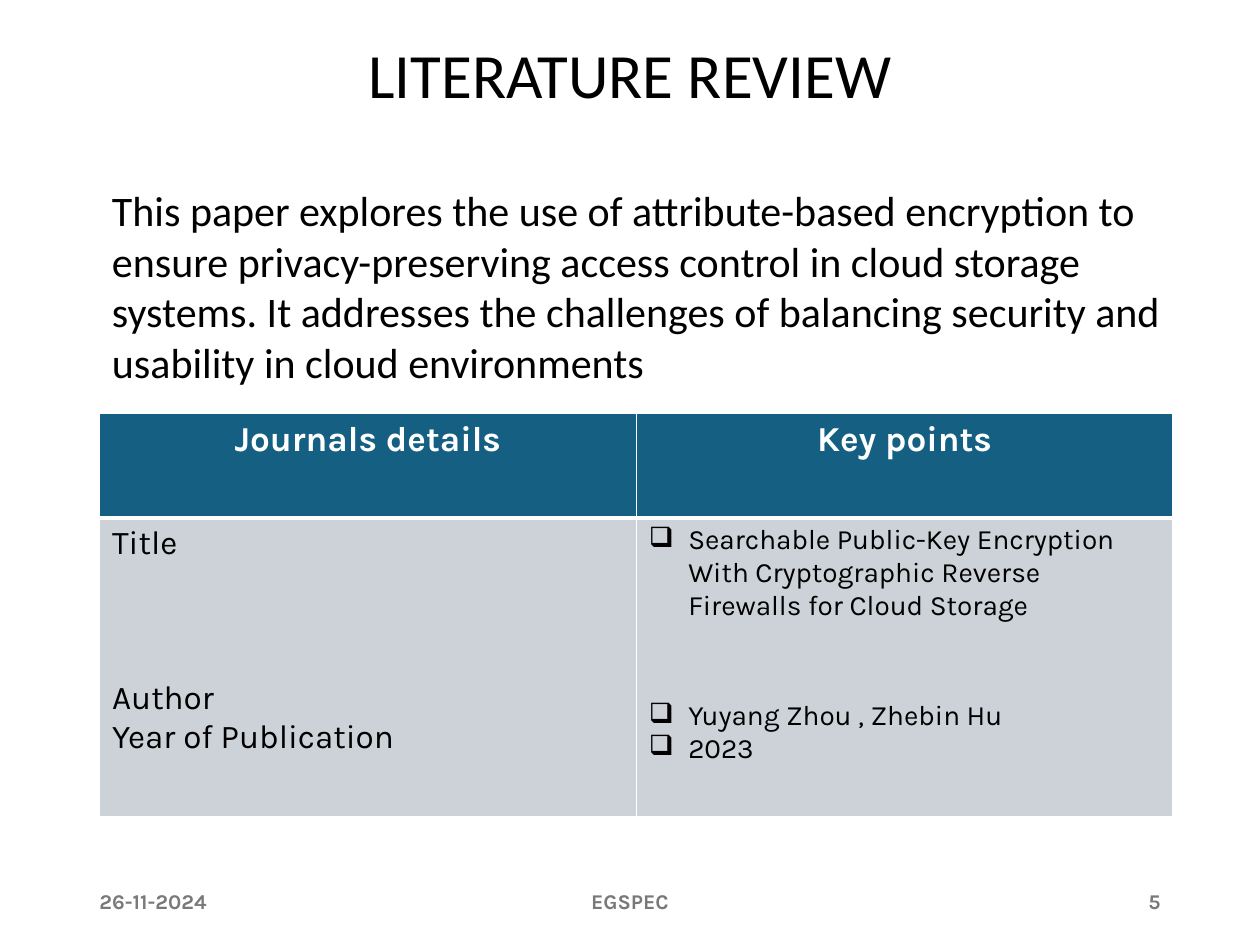
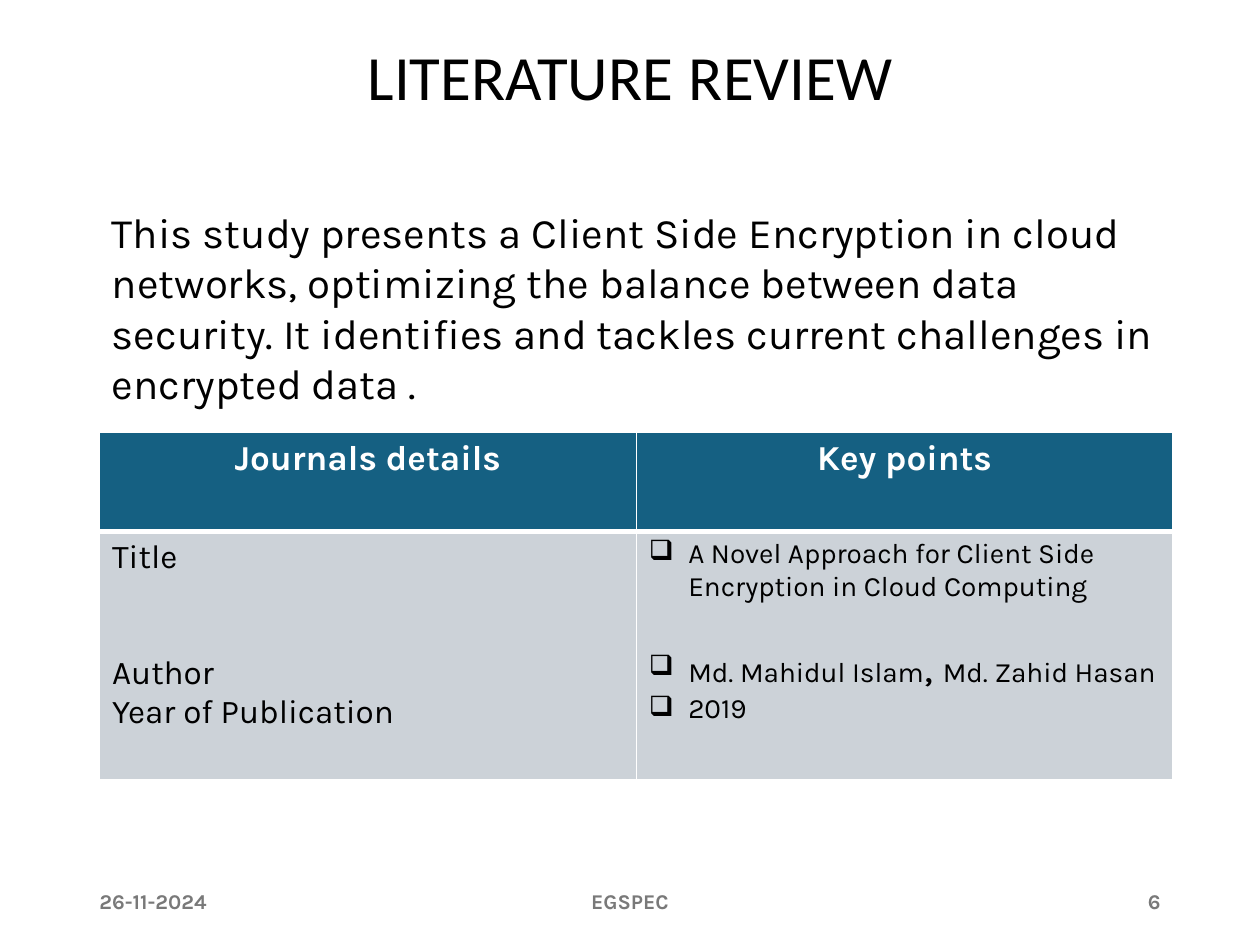
"""Build two literature review slides, each with a summary and a table of journal details."""
from lxml import etree
from pptx import Presentation
from pptx.dml.color import RGBColor
from pptx.enum import text as t
from pptx.oxml import ns
from pptx.util import Pt

BLACK = RGBColor(0x00, 0x00, 0x00)
WHITE = RGBColor(0xFF, 0xFF, 0xFF)
GREY = RGBColor(0x79, 0x79, 0x79)
TEAL = RGBColor(0x15, 0x60, 0x82)
PALE = RGBColor(0xCC, 0xD2, 0xD8)
LEFT, CENTER, RIGHT = t.PP_ALIGN.LEFT, t.PP_ALIGN.CENTER, t.PP_ALIGN.RIGHT
MIDDLE = t.MSO_ANCHOR.MIDDLE
FOOTER_TOP, FOOTER_HEIGHT = 500.4, 28.8
CONTENT_LEFT, CONTENT_WIDTH = 56.88, 613.44
HEADINGS = ("Journals details", "Key points")


def write(frame, content, size, font="Karla", color=BLACK, bold=False,
          align=LEFT, before=0, spacing=1.0, bullet=False):
    """Add a paragraph from a string or from (text, size) pairs."""
    paragraph = frame.paragraphs[0]
    if paragraph.runs:
        paragraph = frame.add_paragraph()
    if bullet:
        properties = paragraph._p.get_or_add_pPr()
        properties.set("marL", str(Pt(22.5)))
        properties.set("indent", str(Pt(-22.5)))
        etree.SubElement(properties, ns.qn("a:buChar")).set("char", "❑")
    paragraph.alignment = align
    paragraph.line_spacing = spacing
    paragraph.space_before = Pt(before)
    pieces = [(content, size)] if isinstance(content, str) else content
    for words, points in pieces:
        run = paragraph.add_run()
        run.text = words
        run.font.size = Pt(points)
        run.font.name = font
        run.font.bold = bold
        run.font.color.rgb = color


def add_frame(slide, left, top, width, height, anchor=t.MSO_ANCHOR.TOP):
    """Add a wrapping text box and return its frame."""
    frame = slide.shapes.add_textbox(Pt(left), Pt(top), Pt(width), Pt(height)).text_frame
    frame.word_wrap = True
    frame.vertical_anchor = anchor
    return frame


reviews = [
    dict(
        number="5",
        title="LITERATURE REVIEW",
        summary="This paper explores the use of attribute-based encryption to ensure "
                "privacy-preserving access control in cloud storage systems. It addresses "
                "the challenges of balancing security and usability in cloud environments",
        summary_font="Calibri", summary_top=72.72, summary_height=152.64, summary_inset=32.9,
        table_top=236.16, row_heights=(59.76, 170.64),
        labels=[("Title", 0), ("Author", 66.6), ("Year of Publication", 0)],
        points=[("Searchable Public-Key Encryption With Cryptographic Reverse Firewalls "
                 "for Cloud Storage", 0),
                ("Yuyang Zhou , Zhebin Hu", 44.4), ("2023", 0)],
    ),
    dict(
        number="6",
        title=[("LITERATURE", 36), (" ", 39.6), ("REVIEW", 36)],
        summary="This study presents a Client Side Encryption in cloud networks, optimizing "
                "the balance between data security. It identifies and tackles current "
                "challenges in encrypted data .",
        summary_font="Karla", summary_top=114.48, summary_height=123.84, summary_inset=3.6,
        table_top=246.96, row_heights=(56.88, 141.84),
        labels=[("Title", 0), ("Author", 44.4), ("Year of Publication", 0)],
        points=[("A Novel Approach for Client Side Encryption in Cloud Computing", 0),
                ([("Md. Mahidul Islam", 16), (", ", 24), ("Md. Zahid Hasan", 16)], 23.4),
                ("2019", 0)],
    ),
]

deck = Presentation()
deck.slide_width, deck.slide_height = Pt(720), Pt(540)

for review in reviews:
    slide = deck.slides.add_slide(deck.slide_layouts[6])

    title = add_frame(slide, 49.68, 28.8, 620.64, 66.24, MIDDLE)
    title.margin_bottom = Pt(38)
    write(title, review["title"], 36, font="Calibri", align=CENTER, spacing=0.9)

    for words, left, width, align in (("26-11-2024", 49.68, 162, LEFT),
                                      ("EGSPEC", 238.32, 243.36, CENTER),
                                      (review["number"], 508.32, 162, RIGHT)):
        footer = add_frame(slide, left, FOOTER_TOP, width, FOOTER_HEIGHT, MIDDLE)
        write(footer, words, 12, color=GREY, bold=True, align=align)

    summary = add_frame(slide, CONTENT_LEFT, review["summary_top"],
                        CONTENT_WIDTH, review["summary_height"])
    summary.margin_top = Pt(review["summary_inset"])
    write(summary, review["summary"], 24, font=review["summary_font"])

    heights = review["row_heights"]
    journal = slide.shapes.add_table(2, 2, Pt(CONTENT_LEFT), Pt(review["table_top"]),
                                     Pt(CONTENT_WIDTH), Pt(sum(heights))).table
    for row, height in zip(journal.rows, heights):
        row.height = Pt(height)

    for column, heading in enumerate(HEADINGS):
        write(journal.cell(0, column).text_frame, heading, 20,
              color=WHITE, bold=True, align=CENTER)
    for label, gap in review["labels"]:
        write(journal.cell(1, 0).text_frame, label, 19, before=gap)
    for point, gap in review["points"]:
        write(journal.cell(1, 1).text_frame, point, 16, before=gap, bullet=True)

    for row, (fill, thick_side) in enumerate(((TEAL, "B"), (PALE, "T"))):
        for column in range(2):
            cell = journal.cell(row, column)
            properties = cell._tc.get_or_add_tcPr()
            for side in "LRTB":
                border = etree.SubElement(properties, ns.qn(f"a:ln{side}"))
                border.set("w", str(Pt(3 if side == thick_side else 1)))
                paint = etree.SubElement(border, ns.qn("a:solidFill"))
                etree.SubElement(paint, ns.qn("a:srgbClr")).set("val", str(WHITE))
            cell.fill.solid()
            cell.fill.fore_color.rgb = fill

deck.save("out.pptx")
